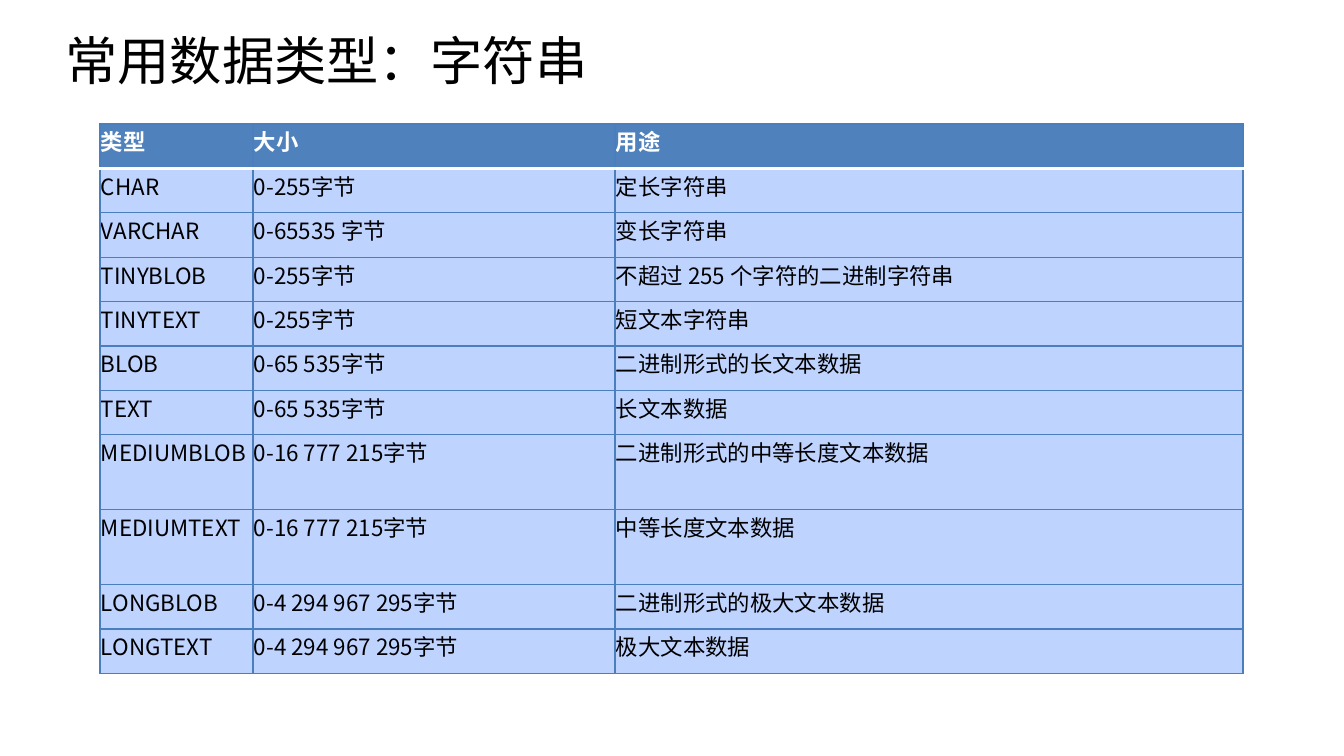
import pptx
import pptx.dml.color
import pptx.enum.text
import pptx.oxml
import pptx.oxml.ns
import pptx.util

PX = 914400 / 134.4
FONT = "Noto Sans CJK SC"
COLORS = {
    "text": "000000",
    "header_text": "FFFFFF",
    "header": "4F81BD",
    "body": "BFD3FF",
    "grid": "4B7EBC",
    "rule": "FFFFFF",
}
ROWS = [
    ("类型", "大小", "用途"),
    ("CHAR", "0-255字节", "定长字符串"),
    ("VARCHAR", "0-65535 字节", "变长字符串"),
    ("TINYBLOB", "0-255字节", "不超过 255 个字符的二进制字符串"),
    ("TINYTEXT", "0-255字节", "短文本字符串"),
    ("BLOB", "0-65 535字节", "二进制形式的长文本数据"),
    ("TEXT", "0-65 535字节", "长文本数据"),
    ("MEDIUMBLOB", "0-16 777 215字节", "二进制形式的中等长度文本数据"),
    ("MEDIUMTEXT", "0-16 777 215字节", "中等长度文本数据"),
    ("LONGBLOB", "0-4 294 967 295字节", "二进制形式的极大文本数据"),
    ("LONGTEXT", "0-4 294 967 295字节", "极大文本数据"),
]
COLUMN_WIDTHS = [153, 362, 628]
TABLE_HEIGHT = 550
TALL_ROW = 75
TALL_TYPES = ("MEDIUMBLOB", "MEDIUMTEXT")


def emu(px):
    return pptx.util.Emu(round(px * PX))


def rgb(name):
    return pptx.dml.color.RGBColor.from_string(COLORS[name])


class Deck:
    def __init__(self, width, height):
        self.prs = pptx.Presentation()
        self.prs.slide_width = emu(width)
        self.prs.slide_height = emu(height)
        self.slide = self.prs.slides.add_slide(self.prs.slide_layouts[5])

    def text(self, p, text, size, color, bold=False):
        p.text = text
        p.alignment = pptx.enum.text.PP_ALIGN.LEFT
        font = p.font
        font.name, font.size, font.bold = FONT, pptx.util.Pt(size), bold
        font.color.rgb = rgb(color)
        # East Asian glyphs take their typeface from a:ea.
        latin = p._p.pPr.find(".//" + pptx.oxml.ns.qn("a:latin"))
        latin.addnext(pptx.oxml.parse_xml(
            f'<a:ea {pptx.oxml.ns.nsdecls("a")} typeface="{FONT}"/>'))

    def title(self, text, left, top, width, height):
        sp = self.slide.shapes.title
        sp.left, sp.top, sp.width, sp.height = map(emu, (left, top, width, height))
        tf = sp.text_frame
        tf.word_wrap = True
        tf.auto_size = pptx.enum.text.MSO_AUTO_SIZE.NONE
        tf.vertical_anchor = pptx.enum.text.MSO_ANCHOR.TOP
        tf.margin_top = tf.margin_bottom = 0
        self.text(tf.paragraphs[0], text, 28, "text")

    def border(self, cell, side, color, width):
        """Append one border; call before the cell is filled, in L, R, T, B order."""
        cell._tc.get_or_add_tcPr().append(pptx.oxml.parse_xml(
            f'<a:ln{side} {pptx.oxml.ns.nsdecls("a")} w="{pptx.util.Pt(width)}">'
            f'<a:solidFill><a:srgbClr val="{COLORS[color]}"/></a:solidFill>'
            f'</a:ln{side}>'))

    def cell(self, cell, text, row):
        header = row == 0
        cell.margin_left = cell.margin_right = cell.margin_top = emu(1)
        cell.margin_bottom = 0
        cell.vertical_anchor = pptx.enum.text.MSO_ANCHOR.TOP
        for side in "LRTB":
            under_header = (row, side) in ((0, "B"), (1, "T"))
            self.border(cell, side, *(("rule", 2) if under_header else ("grid", 0.75)))
        cell.fill.solid()
        cell.fill.fore_color.rgb = rgb("header" if header else "body")
        self.text(cell.text_frame.paragraphs[0], text, 12,
                  "header_text" if header else "text", bold=header)

    def table(self, rows, left, top):
        table = self.slide.shapes.add_table(
            len(rows), len(COLUMN_WIDTHS), emu(left), emu(top),
            emu(sum(COLUMN_WIDTHS)), emu(TABLE_HEIGHT)).table
        table.horz_banding = False
        for column, width in zip(table.columns, COLUMN_WIDTHS):
            column.width = emu(width)
        tall_count = len(TALL_TYPES)
        short_row = (TABLE_HEIGHT - tall_count * TALL_ROW) / (len(rows) - tall_count)
        for i, texts in enumerate(rows):
            table.rows[i].height = emu(TALL_ROW if texts[0] in TALL_TYPES else short_row)
            for j, text in enumerate(texts):
                self.cell(table.cell(i, j), text, i)


def main():
    deck = Deck(1344, 756)
    deck.title("常用数据类型：字符串", 52, 28, 896, 63)
    deck.table(ROWS, 100, 124)
    deck.prs.save("out.pptx")


if __name__ == "__main__":
    main()
